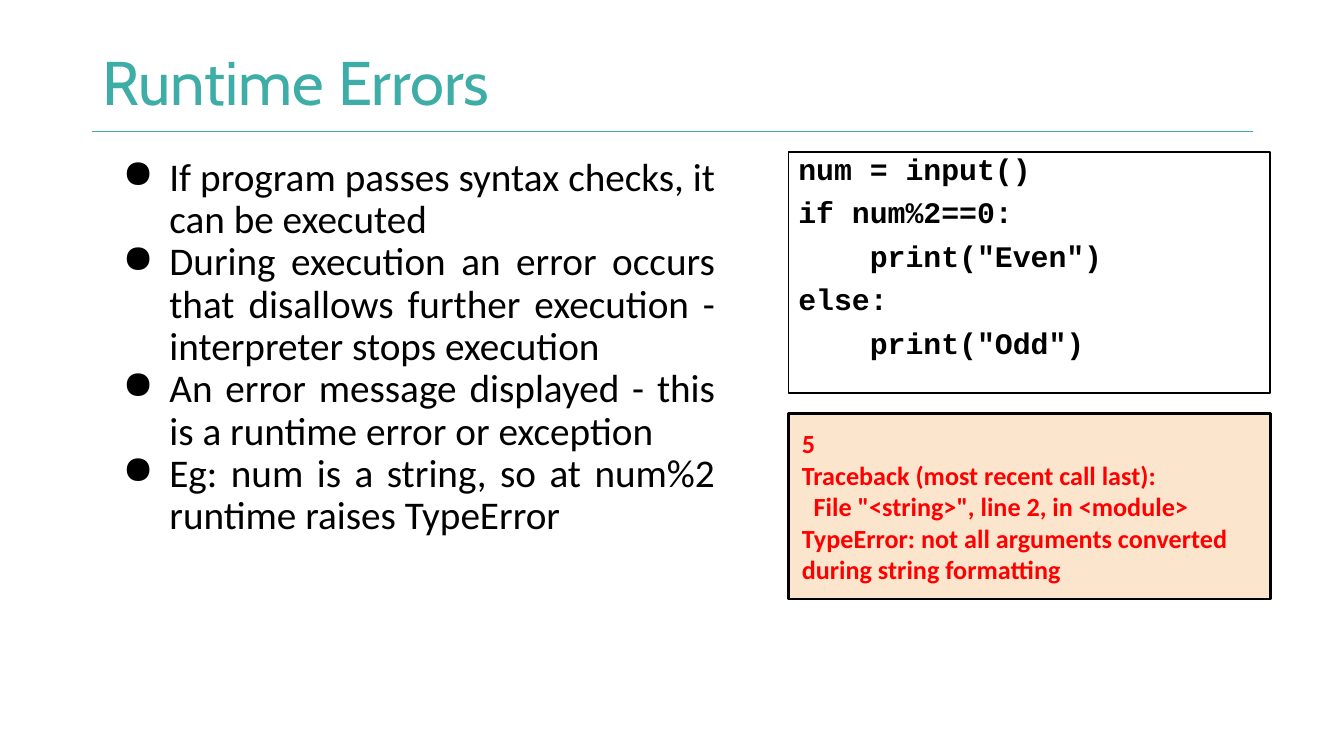
"""Build the Runtime Errors slide with its bullets, code sample and traceback."""
from dataclasses import dataclass

from lxml import etree
from pptx import Presentation
from pptx.dml.color import RGBColor
from pptx.enum.shapes import MSO_CONNECTOR, MSO_SHAPE
from pptx.enum.text import MSO_ANCHOR, MSO_AUTO_SIZE, PP_ALIGN
from pptx.oxml.ns import qn
from pptx.util import Pt

LEFT, JUSTIFY = PP_ALIGN.LEFT, PP_ALIGN.JUSTIFY
TOP, MIDDLE = MSO_ANCHOR.TOP, MSO_ANCHOR.MIDDLE
NO_AUTOFIT = MSO_AUTO_SIZE.NONE
RECTANGLE, STRAIGHT = MSO_SHAPE.RECTANGLE, MSO_CONNECTOR.STRAIGHT

COLORS = {
    "title": "3EADA7",
    "rule": "3DACA7",
    "ink": "000000",
    "error": "FF0000",
    "output": "FCE5CD",
}
MARGIN = 49.5
CONTENT_TOP = 81.5
PANEL_LEFT, PANEL_WIDTH = 422.5, 258
BULLET_INDENT, BULLET_HANG = 36, 25

POINTS = [
    "If program passes syntax checks, it can be executed",
    "During execution an error occurs that disallows further execution - interpreter stops execution",
    "An error message displayed - this is a runtime error or exception",
    "Eg: num is a string, so at num%2 runtime raises TypeError",
]
CODE = ["num = input()", "if num%2==0:", '    print("Even")', "else:", '    print("Odd")']
TRACEBACK = [
    "5",
    "Traceback (most recent call last):",
    '  File "<string>", line 2, in <module>',
    "TypeError: not all arguments converted during string formatting",
]


@dataclass(frozen=True)
class Box:
    left: float
    top: float
    width: float
    height: float

    def lengths(self) -> list:
        return [Pt(v) for v in (self.left, self.top, self.width, self.height)]


@dataclass(frozen=True)
class TextStyle:
    font: str
    size: float
    color: str
    bold: bool = False
    align: PP_ALIGN = LEFT
    line_spacing: float = 1.0
    space_before: float = 0
    inset_x: float = 5.25
    inset_y: float = 2.75
    anchor: MSO_ANCHOR = TOP
    bulleted: bool = False


TITLE = TextStyle("Cabin", 33, "title", line_spacing=0.9, anchor=MIDDLE)
BULLETS = TextStyle("Calibri", 21, "ink", align=JUSTIFY, line_spacing=0.9, bulleted=True)
LISTING = TextStyle("Courier New", 16, "ink", bold=True, line_spacing=0.8, space_before=8)
OUTPUT = TextStyle("Calibri", 14, "error", bold=True, inset_x=7.2, inset_y=7.2, anchor=MIDDLE)


def rgb(name: str) -> RGBColor:
    return RGBColor.from_string(COLORS[name])


def add_bullet(paragraph) -> None:
    properties = paragraph._p.get_or_add_pPr()
    properties.set("marL", str(Pt(BULLET_INDENT)))
    properties.set("indent", str(-Pt(BULLET_HANG)))
    color = etree.SubElement(properties, qn("a:buClr"))
    etree.SubElement(color, qn("a:srgbClr"), val=COLORS["ink"])
    etree.SubElement(properties, qn("a:buChar"), char="●")


def write(frame, lines: list[str], style: TextStyle) -> None:
    frame.word_wrap = True
    frame.auto_size = NO_AUTOFIT
    frame.vertical_anchor = style.anchor
    frame.margin_left = frame.margin_right = Pt(style.inset_x)
    frame.margin_top = frame.margin_bottom = Pt(style.inset_y)
    frame.text = "\n".join(lines)
    for index, paragraph in enumerate(frame.paragraphs):
        if style.bulleted:
            add_bullet(paragraph)
        paragraph.alignment = style.align
        paragraph.line_spacing = style.line_spacing
        paragraph.space_before = Pt(style.space_before if index else 0)
        for run in paragraph.runs:
            run.font.name = style.font
            run.font.size = Pt(style.size)
            run.font.bold = style.bold
            run.font.color.rgb = rgb(style.color)


def add_rule(slide, left: float, right: float, y: float) -> None:
    rule = slide.shapes.add_connector(STRAIGHT, Pt(left), Pt(y), Pt(right), Pt(y))
    rule.line.color.rgb = rgb("rule")
    rule.line.width = Pt(0.75)
    etree.SubElement(rule._element.spPr, qn("a:effectLst"))


def add_panel(slide, box: Box, lines: list[str], style: TextStyle,
              border: float, fill: str | None = None) -> None:
    panel = slide.shapes.add_shape(RECTANGLE, *box.lengths())
    panel.shadow.inherit = False
    if fill:
        panel.fill.solid()
        panel.fill.fore_color.rgb = rgb(fill)
    else:
        panel.fill.background()
    panel.line.color.rgb = rgb("ink")
    panel.line.width = Pt(border)
    write(panel.text_frame, lines, style)


def main() -> None:
    deck = Presentation()
    deck.slide_width, deck.slide_height = Pt(720), Pt(405)
    slide = deck.slides.add_slide(deck.slide_layouts.get_by_name("Title Only"))

    title = slide.shapes.title
    title.left, title.top, title.width, title.height = Box(MARGIN, 21.5, 558, 49).lengths()
    write(title.text_frame, ["Runtime Errors"], TITLE)
    add_rule(slide, MARGIN, 671, 70.5)

    points = slide.shapes.add_textbox(*Box(MARGIN, CONTENT_TOP, 339, 212).lengths())
    write(points.text_frame, POINTS, BULLETS)

    add_panel(slide, Box(PANEL_LEFT, CONTENT_TOP, PANEL_WIDTH, 129), CODE, LISTING, 0.75)
    add_panel(slide, Box(PANEL_LEFT, 221.5, PANEL_WIDTH, 99.5), TRACEBACK, OUTPUT, 1.5, "output")
    deck.save("out.pptx")


if __name__ == "__main__":
    main()
